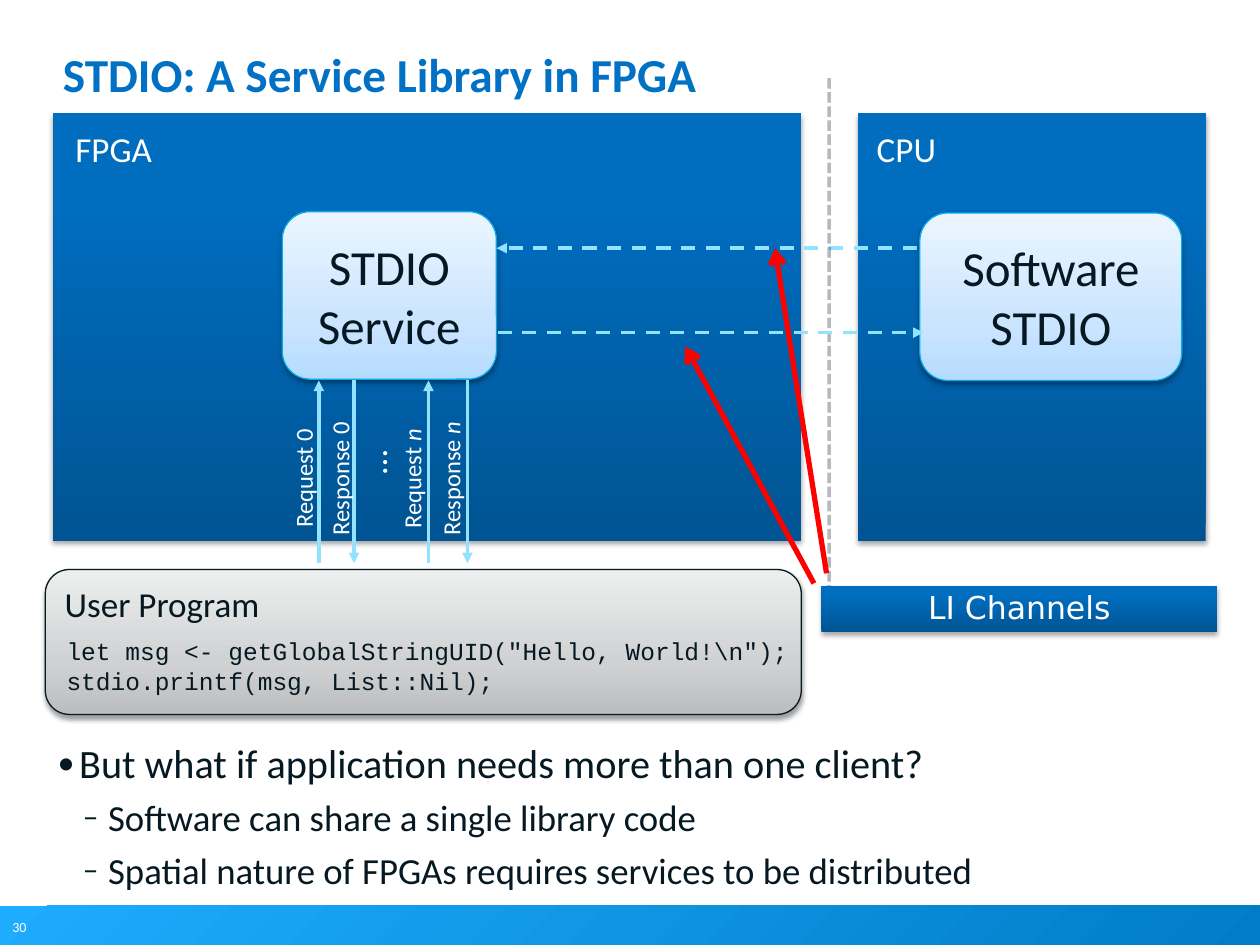
import pptx
import pptx.dml.color
import pptx.enum.dml
import pptx.enum.shapes
import pptx.enum.text
import pptx.oxml
import pptx.oxml.ns
import pptx.util
from dataclasses import dataclass

Inches = pptx.util.Inches
Pt = pptx.util.Pt
qn = pptx.oxml.ns.qn
RECTANGLE = pptx.enum.shapes.MSO_SHAPE.RECTANGLE
ROUNDED = pptx.enum.shapes.MSO_SHAPE.ROUNDED_RECTANGLE
DASH = pptx.enum.dml.MSO_LINE.DASH
SQUARE_DOT = pptx.enum.dml.MSO_LINE.SQUARE_DOT
LEFT = pptx.enum.text.PP_ALIGN.LEFT
CENTER = pptx.enum.text.PP_ALIGN.CENTER
MIDDLE = pptx.enum.text.MSO_ANCHOR.MIDDLE
TOP = pptx.enum.text.MSO_ANCHOR.TOP


@dataclass(frozen=True)
class Theme:
    font: str = "Calibri"
    code_font: str = "Courier New"
    label_font: str = "DejaVu Sans"
    ink: str = "061922"
    white: str = "FFFFFF"
    shadow: str = "000000"
    title: str = "0071C5"
    signal: str = "93E2FF"
    pointer: str = "FF0000"
    service_line: str = "00AAEA"
    program_line: str = "051922"
    # Gradient stops: (percent, colour)
    footer: tuple = ((0, "1EACFF"), (100, "007DC6"))
    device: tuple = ((0, "005493"), (80, "006DBF"), (100, "006EC0"))
    service: tuple = ((0, "B5DCFF"), (35, "CBE5FF"), (100, "EBF5FF"))
    program: tuple = ((0, "BCBDBE"), (35, "D0D1D2"), (100, "EDEEEE"))
    number_size: int = 8
    small_size: int = 14
    label_size: int = 18
    heading_size: int = 20
    detail_size: int = 21
    point_size: int = 23
    title_size: int = 27
    service_size: int = 28


def rgb(colour):
    return pptx.dml.color.RGBColor.from_string(colour)


def drawing(tag, content="", **attributes):
    """Make one DrawingML element."""
    pairs = " ".join(f'{name}="{value}"' for name, value in attributes.items())
    return pptx.oxml.parse_xml(
        f'<a:{tag} {pptx.oxml.ns.nsdecls("a")} {pairs}>{content}</a:{tag}>')


def apply(target, values):
    for name, value in values.items():
        setattr(target, name, value)


class SlideBuilder:
    def __init__(self, slide, theme):
        self.slide = slide
        self.theme = theme

    def fill_text(self, shape, paragraphs, size, colour, font=None, bold=None,
                  frame=None, paragraph_format=None):
        """Fill a shape with paragraphs; a tuple is (upright text, italic text)."""
        text_frame = shape.text_frame
        apply(text_frame, {"word_wrap": True, "vertical_anchor": TOP, **(frame or {})})
        for index, content in enumerate(paragraphs):
            paragraph = text_frame.add_paragraph() if index else text_frame.paragraphs[0]
            apply(paragraph, {"alignment": LEFT, **(paragraph_format or {})})
            parts = (content,) if isinstance(content, str) else content
            for text, italic in zip(parts, (None, True)):
                run = paragraph.add_run()
                run.text = text
                apply(run.font, {"name": font or self.theme.font, "size": Pt(size),
                                 "bold": bold, "italic": italic})
                run.font.color.rgb = rgb(colour)

    def text(self, box, paragraphs, size, colour, rotation=0, **formats):
        shape = self.slide.shapes.add_textbox(*map(Inches, box))
        shape.rotation = rotation
        self.fill_text(shape, paragraphs, size, colour, **formats)
        return shape

    def block(self, kind, box, stops, angle=270, line=None, shadow=None):
        """Add a gradient shape; shadow is (opacity %, distance in points)."""
        shape = self.slide.shapes.add_shape(kind, *map(Inches, box))
        shape.shadow.inherit = False
        if line:
            shape.line.color.rgb = rgb(line)
            shape.line.width = Pt(0.75)
        else:
            shape.line.fill.background()
        stop_xml = "".join(f'<a:gs pos="{percent * 1000}"><a:srgbClr val="{colour}"/></a:gs>'
                           for percent, colour in stops)
        gradient = drawing("gradFill", f"<a:gsLst>{stop_xml}</a:gsLst>"
                           f'<a:lin ang="{angle * 60000}" scaled="0"/>', rotWithShape=1)
        properties = shape._element.spPr
        properties.find(qn("a:prstGeom")).addnext(gradient)
        if shadow:
            opacity, distance = shadow
            colour_xml = (f'<a:srgbClr val="{self.theme.shadow}">'
                          f'<a:alpha val="{opacity * 1000}"/></a:srgbClr>')
            properties.find(qn("a:effectLst")).append(drawing(
                "outerShdw", colour_xml, blurRad=int(Pt(3.1)), dist=int(Pt(distance)),
                dir=90 * 60000, rotWithShape=0))
        return shape

    def device(self, box):
        return self.block(RECTANGLE, box, self.theme.device, shadow=(35, 1.8))

    def service(self, box, lines):
        shape = self.block(ROUNDED, box, self.theme.service,
                           line=self.theme.service_line, shadow=(38, 1.6))
        self.fill_text(shape, lines, self.theme.service_size, self.theme.ink,
                       frame={"vertical_anchor": MIDDLE}, paragraph_format={"alignment": CENTER})

    def line(self, start, end, colour, width=2, dash=None, arrow=None, opacity=None):
        connector = self.slide.shapes.add_connector(
            pptx.enum.shapes.MSO_CONNECTOR.STRAIGHT, *map(Inches, (*start, *end)))
        connector.line.color.rgb = rgb(colour)
        apply(connector.line, {"width": Pt(width), "dash_style": dash})
        properties = connector._element.spPr
        if opacity:
            properties.find(".//" + qn("a:srgbClr")).append(drawing("alpha", val=opacity * 1000))
        if arrow:
            properties.find(qn("a:ln")).append(drawing("tailEnd", type=arrow))
        properties.append(drawing("effectLst"))

    def bullet(self, paragraph, mark, margin):
        properties = paragraph._p.get_or_add_pPr()
        properties.set("marL", str(int(Inches(margin))))
        properties.set("indent", str(int(Inches(-0.2))))
        for item in (drawing("buClr", f'<a:srgbClr val="{self.theme.ink}"/>'),
                     drawing("buSzPct", val=85000),
                     drawing("buFont", typeface=self.theme.font),
                     drawing("buChar", char=mark)):
            properties.append(item)


def main():
    presentation = pptx.Presentation()
    apply(presentation, {"slide_width": Inches(10), "slide_height": Inches(7.5)})
    theme = Theme()
    builder = SlideBuilder(presentation.slides.add_slide(presentation.slide_layouts[6]), theme)
    unwrapped = {"word_wrap": False}

    builder.block(RECTANGLE, (0, 7.19, 10.01, 0.32), theme.footer, angle=45)
    builder.text((0, 7.24, 0.31, 0.24), ["30"], theme.number_size, theme.white, frame=unwrapped)

    builder.device((6.81, 0.9, 2.76, 3.39))
    builder.device((0.42, 0.9, 5.94, 3.39))
    for left, width, name in ((0.5, 0.89, "FPGA"), (6.86, 0.68, "CPU")):
        builder.text((left, 0.96, width, 0.44), [name], theme.heading_size, theme.white,
                     frame=unwrapped)
    margins = dict.fromkeys(("margin_left", "margin_top", "margin_right", "margin_bottom"), 0)
    builder.text((0.5, 0.45, 9, 0.97), ["STDIO: A Service Library in FPGA"], theme.title_size,
                 theme.title, bold=True, frame=margins, paragraph_format={"line_spacing": Pt(26)})

    builder.service((2.24, 1.68, 1.7, 1.33), ["STDIO", "Service"])
    program = builder.block(ROUNDED, (0.36, 4.52, 6, 1.15), theme.program,
                            line=theme.program_line, shadow=(38, 1.6))
    builder.fill_text(program, ["User Program"], theme.heading_size, theme.ink)

    # Each call: arrow x, label centre x, label length, label, and whether it enters the service
    calls = ((2.53, 2.41, 0.99, "Request 0", True), (2.81, 2.7, 1.11, "Response 0", False),
             (3.4, 3.27, 1, ("Request ", "n"), True), (3.71, 3.58, 1.11, ("Response ", "n"), False))
    for x, centre, length, label, inward in calls:
        bottom, top = (x, 4.47), (x, 3.02)
        start, end = (bottom, top) if inward else (top, bottom)
        builder.line(start, end, theme.signal, arrow="triangle")
        builder.text((centre - length / 2, 3.62, length, 0.34), [label], theme.small_size,
                     theme.white, rotation=270, frame=unwrapped)
    builder.text((2.77, 3.45, 0.39, 0.44), ["…"], theme.heading_size, theme.white,
                 rotation=270, frame=unwrapped)

    builder.line((7.67, 1.97), (3.94, 1.97), theme.signal, dash=DASH, arrow="triangle")
    builder.line((6.58, 0.62), (6.58, 4.88), theme.ink, dash=SQUARE_DOT, opacity=30)
    builder.service((7.3, 1.69, 2.08, 1.33), ["Software", "STDIO"])
    builder.line((3.95, 2.64), (7.33, 2.64), theme.signal, dash=DASH, arrow="triangle")

    points = (("•", 0.17, 11, theme.point_size, "But what if application needs more than one client?"),
              ("–", 0.4, 5, theme.detail_size, "Software can share a single library code"),
              ("–", 0.4, 5, theme.detail_size,
               "Spatial nature of FPGAs requires services to be distributed"))
    body = builder.text((0.36, 5.81, 9, 1.38), [point[-1] for point in points],
                        theme.detail_size, theme.ink)
    for paragraph, (mark, margin, space, size, _) in zip(body.text_frame.paragraphs, points):
        paragraph.space_before = Pt(space)
        paragraph.runs[0].font.size = Pt(size)
        builder.bullet(paragraph, mark, margin)

    builder.text((0.43, 5, 7.3, 0.81),
                 ['let msg <- getGlobalStringUID("Hello, World!\\n");', "stdio.printf(msg, List::Nil);"],
                 theme.small_size, theme.ink, font=theme.code_font)
    for start, end in (((6.46, 4.63), (5.44, 2.75)), ((6.56, 4.55), (6.15, 1.97))):
        builder.line(start, end, theme.pointer, width=3, arrow="arrow")
    channels = builder.device((6.52, 4.65, 3.14, 0.37))
    builder.fill_text(channels, ["LI Channels"], theme.label_size, theme.white,
                      font=theme.label_font,
                      paragraph_format={"alignment": CENTER, "line_spacing": 0.9})

    presentation.save("out.pptx")


if __name__ == "__main__":
    main()
